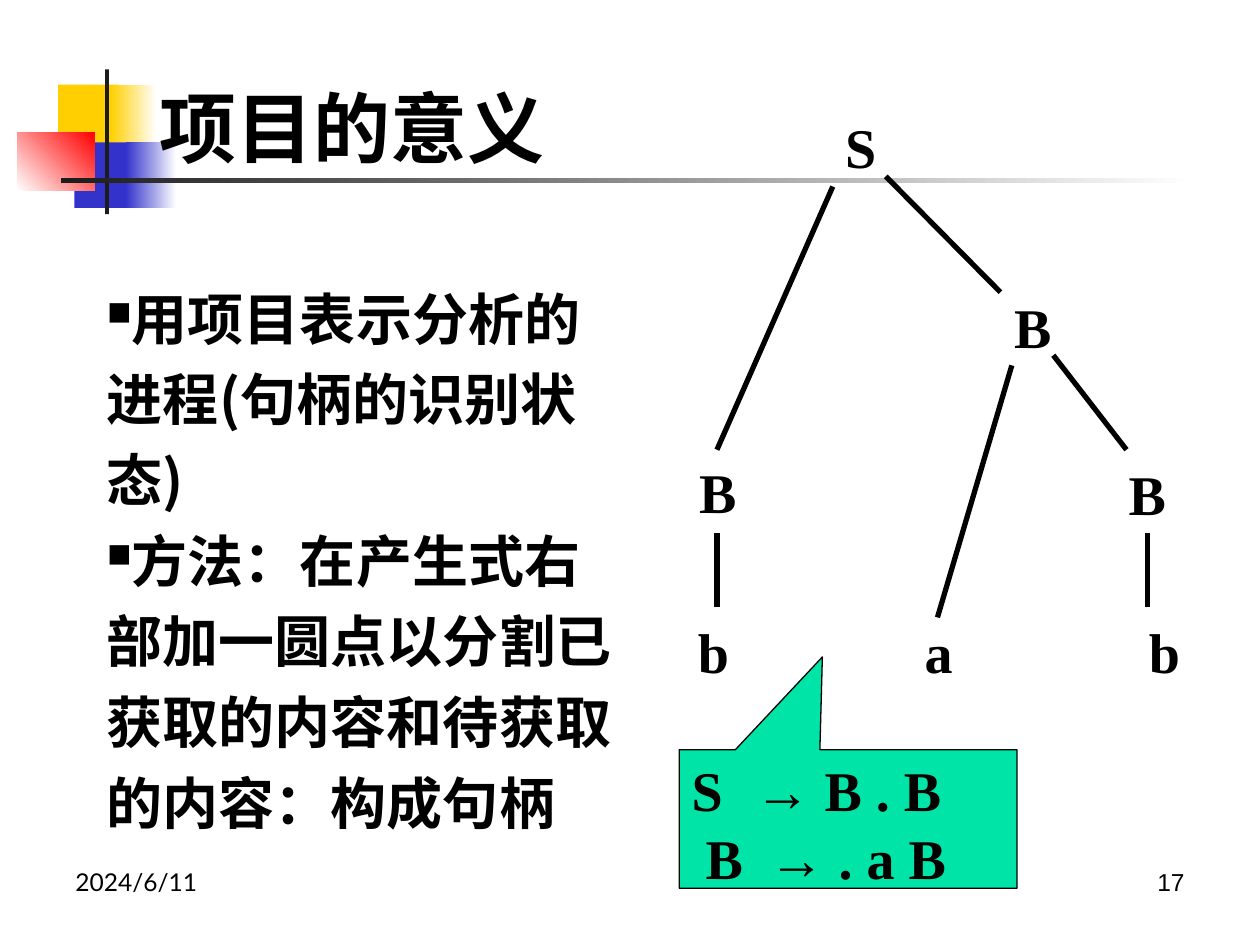
"""Build the slide on the meaning of items, with a parse tree and a callout."""
import pptx
import pptx.util
import pptx.dml.color
import pptx.enum.shapes
import pptx.enum.text
import pptx.oxml.ns
from lxml import etree

Pt = pptx.util.Pt
qn = pptx.oxml.ns.qn
SHAPE = pptx.enum.shapes.MSO_SHAPE
ALIGN = pptx.enum.text.PP_ALIGN
ANCHOR = pptx.enum.text.MSO_ANCHOR
COLOURS = {
    "yellow": "FFCF01", "blue": "3333CC", "red": "FF0000", "white": "FFFFFF",
    "charcoal": "1C1C1C", "black": "000000", "green": "00E4A8",
}
SERIF = "Times New Roman"
SANS = "Noto Sans CJK SC"


def colour(name):
    return pptx.dml.color.RGBColor.from_string(COLOURS[name])


def write(box, lines, size, font, bold=False, align=ALIGN.LEFT, anchor=ANCHOR.TOP, wrap=True):
    frame = box.text_frame
    frame.word_wrap = wrap
    frame.vertical_anchor = anchor
    frame.text = "\n".join(lines)
    for para in frame.paragraphs:
        para.alignment = align
        for span in para.runs:
            span.font.size = Pt(size)
            span.font.name = font
            span.font.bold = bold
            span.font.color.rgb = colour("black")
    return frame.paragraphs


deck = pptx.Presentation()
deck.slide_width, deck.slide_height = Pt(720), Pt(540)
page = deck.slides.add_slide(deck.slide_layouts[6])
shapes = page.shapes

ornaments = [
    (33.3, 48.3, 34.4, 37.4, ["yellow"], 0),
    (63.4, 48.3, 25.9, 37.4, ["yellow", "white"], 0),
    (42.5, 81.4, 33.1, 37.4, ["blue"], 0),
    (72, 81.4, 28.8, 37.4, ["blue", "white"], 0),
    (10, 75.5, 44, 33.3, ["white", "red"], 45),
    (60, 39.6, 2.3, 82.8, ["charcoal"], 0),
    (34.8, 102, 648, 2.5, ["charcoal", "white"], 0),
]
for left, top, width, height, tones, angle in ornaments:
    block = shapes.add_shape(SHAPE.RECTANGLE, Pt(left), Pt(top), Pt(width), Pt(height))
    block.shadow.inherit = False
    block.line.fill.background()
    if len(tones) == 1:
        block.fill.solid()
        block.fill.fore_color.rgb = colour(tones[0])
    else:
        block.fill.gradient()
        block.fill.gradient_angle = angle
        for stop, tone in zip(block.fill.gradient_stops, tones):
            stop.color.rgb = colour(tone)

date = shapes.add_textbox(Pt(36), Pt(491.8), Pt(168), Pt(37.4))
write(date, ["2024/6/11"], 14, "Lato")
number = shapes.add_textbox(Pt(516), Pt(491.8), Pt(168), Pt(37.4))
write(number, ["17"], 14, "Arial", align=ALIGN.RIGHT)
title = shapes.add_textbox(Pt(84.2), Pt(27.4), Pt(246.2), Pt(90))
write(title, ["项目的意义"], 44, SERIF, bold=True, anchor=ANCHOR.MIDDLE)

body = shapes.add_textbox(Pt(54), Pt(151.2), Pt(311), Pt(322.6))
points = [
    "用项目表示分析的进程(句柄的识别状态)",
    "方法：在产生式右部加一圆点以分割已获取的内容和待获取的内容：构成句柄",
]
for para in write(body, points, 32, SANS, bold=True):
    para.line_spacing = 1.2
    properties = para._p.get_or_add_pPr()
    tint = etree.SubElement(properties, qn("a:buClr"))
    etree.SubElement(tint, qn("a:srgbClr"), val=COLOURS["black"])
    etree.SubElement(properties, qn("a:buSzPct"), val="60000")
    etree.SubElement(properties, qn("a:buChar"), char="■")

nodes = [
    ("S", 475.9, 60.5), ("B", 572.4, 163.4), ("B", 392.4, 257.8), ("B", 637.9, 259.2),
    ("b", 391.7, 349.2), ("a", 521.3, 349.2), ("b", 649.5, 349.2),
]
for letter, left, top in nodes:
    node = shapes.add_textbox(Pt(left), Pt(top), Pt(36), Pt(45.4))
    write(node, [letter], 32, SERIF, bold=True, wrap=False)

branches = [
    (409.7, 304.6, 409.7, 347), (655.9, 304.6, 655.9, 347), (475.9, 106.6, 409.7, 257),
    (578.2, 208.8, 535.7, 352.8), (601.9, 203, 643.7, 257), (506.2, 100.8, 571.7, 167),
]
for branch in branches:
    line = shapes.add_connector(pptx.enum.shapes.MSO_CONNECTOR.STRAIGHT, *map(Pt, branch))
    line.line.color.rgb = colour("black")
    line.line.width = Pt(3)
    etree.SubElement(line._element.spPr, qn("a:effectLst"))

callout = shapes.add_shape(SHAPE.RECTANGULAR_CALLOUT, Pt(388.1), Pt(428.4), Pt(193), Pt(79.2))
callout.adjustments[0], callout.adjustments[1] = -0.076, -1.169
callout.shadow.inherit = False
callout.fill.solid()
callout.fill.fore_color.rgb = colour("green")
callout.line.color.rgb = colour("black")
callout.line.width = Pt(0.75)
rules = write(callout, ["S\t→ B . B", "B\t→ . a B"], 32, SERIF, bold=True)
for para, indent, stop in zip(rules, (0, 8), (33.5, 45)):
    properties = para._p.get_or_add_pPr()
    properties.set("marL", str(Pt(indent)))
    properties.set("indent", "0")
    tabs = etree.SubElement(properties, qn("a:tabLst"))
    etree.SubElement(tabs, qn("a:tab"), pos=str(Pt(stop)), algn="l")

deck.save("out.pptx")
